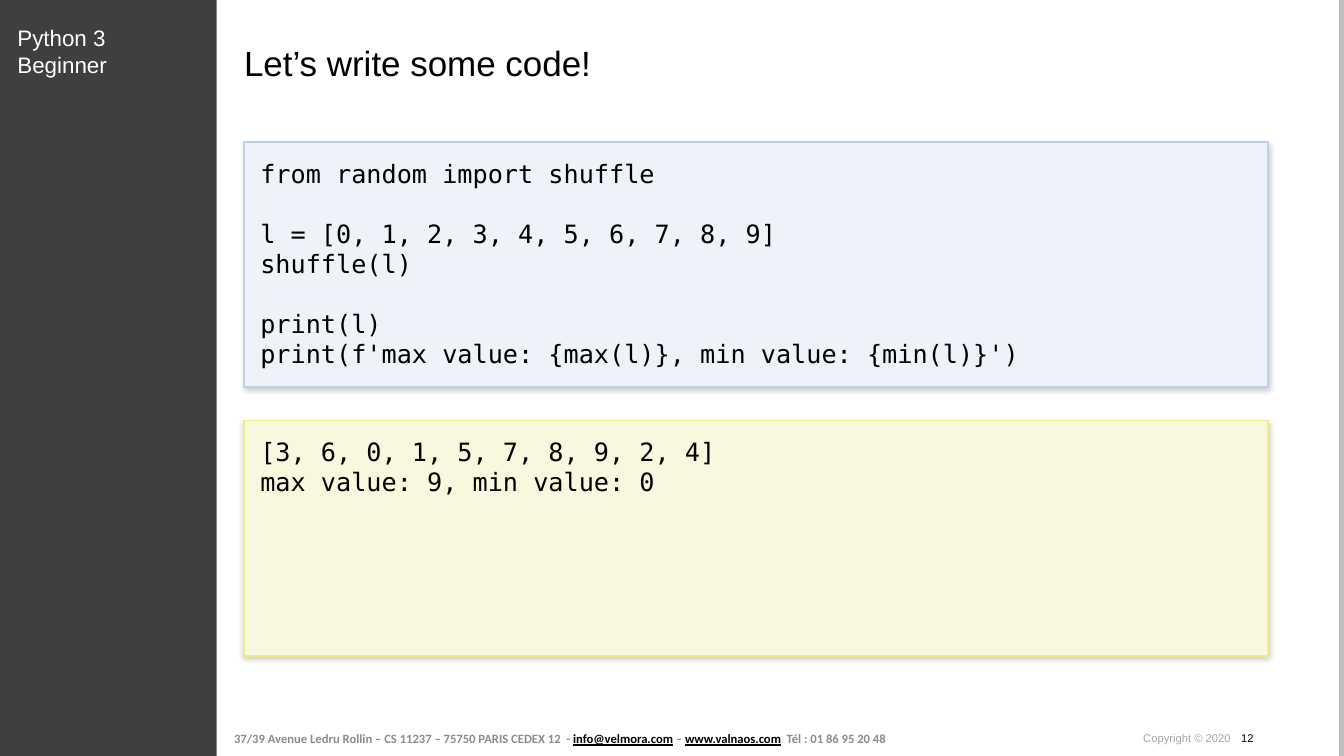
from dataclasses import dataclass

from lxml.etree import SubElement
from pptx import Presentation
from pptx.dml.color import RGBColor
from pptx.enum.shapes import MSO_CONNECTOR, MSO_SHAPE
from pptx.enum.text import MSO_ANCHOR, MSO_AUTO_SIZE, PP_ALIGN
from pptx.oxml.ns import qn
from pptx.util import Cm, Pt


@dataclass(frozen=True)
class Theme:
    ink: str = "000000"
    white: str = "FFFFFF"
    sidebar: str = "3F3F3F"
    edge: str = "BEBEBE"
    contact: str = "8C8C8C"
    copyright: str = "A4A4A4"
    code_fill: str = "EEF3F9"
    code_line: str = "BBD2EE"
    output_fill: str = "F9F8DF"
    output_line: str = "F1ED86"
    sans: str = "Arial"
    mono: str = "DejaVu Sans Mono"
    footer: str = "Calibri"
    title_size: float = 25
    code_size: float = 18
    course_size: float = 16
    contact_size: float = 9
    copyright_size: float = 8
    code_gap: float = 21


THEME = Theme()
CONTENT_LEFT = 6.15
PANEL_WIDTH = 25.81

CODE = [
    ["from random import shuffle"],
    ["l = [0, 1, 2, 3, 4, 5, 6, 7, 8, 9]", "shuffle(l)"],
    ["print(l)", "print(f'max value: {max(l)}, min value: {min(l)}')"],
]
OUTPUT = [["[3, 6, 0, 1, 5, 7, 8, 9, 2, 4]", "max value: 9, min value: 0"]]


def rgb(color):
    return RGBColor.from_string(color)


def style_run(r, font, size, color, bold=False, underline=False):
    r.font.name = font
    r.font.size = Pt(size)
    r.font.color.rgb = rgb(color)
    r.font.bold = bold
    r.font.underline = underline


def place(sp, left, top, width, height):
    sp.left, sp.top = Cm(left), Cm(top)
    sp.width, sp.height = Cm(width), Cm(height)


def set_frame(tf, inset_x=0, inset_y=0, anchor=MSO_ANCHOR.TOP):
    tf.word_wrap = True
    tf.auto_size = MSO_AUTO_SIZE.NONE
    tf.vertical_anchor = anchor
    tf.margin_left = tf.margin_right = Cm(inset_x)
    tf.margin_top = tf.margin_bottom = Cm(inset_y)


def add_text(s, box, runs, font, size, **frame):
    sp = s.shapes.add_textbox(*map(Cm, box))
    tf = sp.text_frame
    set_frame(tf, **frame)
    p = tf.paragraphs[0]
    for text, color, bold, underline in runs:
        r = p.add_run()
        r.text = text
        style_run(r, font, size, color, bold, underline)
    return p


def add_tab_stop(p, position):
    tabs = SubElement(p._p.get_or_add_pPr(), qn("a:tabLst"))
    SubElement(tabs, qn("a:tab"), pos=str(Cm(position)), algn="l")


def add_rect(s, box, fill, line=None):
    sp = s.shapes.add_shape(MSO_SHAPE.RECTANGLE, *map(Cm, box))
    sp.shadow.inherit = False
    sp.fill.solid()
    sp.fill.fore_color.rgb = rgb(fill)
    if line:
        sp.line.color.rgb = rgb(line)
        sp.line.width = Pt(1)
    else:
        sp.line.fill.background()
    return sp


def add_soft_shadow(sp):
    effects = sp._element.spPr.find(qn("a:effectLst"))
    shadow = SubElement(effects, qn("a:outerShdw"), blurRad=str(Pt(4)),
                        dist=str(Pt(1)), dir="5400000", rotWithShape="0")
    color = SubElement(shadow, qn("a:srgbClr"), val=THEME.ink)
    SubElement(color, qn("a:alpha"), val="20000")


def add_code_panel(s, top, height, blocks, fill, line):
    sp = add_rect(s, (CONTENT_LEFT, top, PANEL_WIDTH, height), fill, line)
    add_soft_shadow(sp)
    tf = sp.text_frame
    set_frame(tf, 0.41, 0.41)
    tf.text = "\n".join(text for block in blocks for text in block)
    paragraphs = iter(tf.paragraphs)
    for b, block in enumerate(blocks):
        for i in range(len(block)):
            p = next(paragraphs)
            p.alignment = PP_ALIGN.LEFT
            if b and not i:
                p.space_before = Pt(THEME.code_gap)
            style_run(p.runs[0], THEME.mono, THEME.code_size, THEME.ink)


def add_edge(s, x, height):
    line = s.shapes.add_connector(MSO_CONNECTOR.STRAIGHT, Cm(x), 0, Cm(x), height)
    line.line.color.rgb = rgb(THEME.edge)
    line.line.width = Pt(3.34)
    SubElement(line._element.spPr, qn("a:effectLst"))


def set_title(s, text):
    sp = s.shapes.title
    place(sp, CONTENT_LEFT, 1.04, 25.55, 1.07)
    tf = sp.text_frame
    tf.text = text
    set_frame(tf)
    p = tf.paragraphs[0]
    p.alignment = PP_ALIGN.LEFT
    style_run(p.runs[0], THEME.sans, THEME.title_size, THEME.ink)


def add_footer(s):
    contact = [
        ("37/39 Avenue Ledru Rollin – CS 11237 – 75750 PARIS CEDEX 12  - ",
         THEME.contact, True, False),
        ("info@velmora.com", THEME.ink, True, True),
        (" – ", THEME.contact, True, False),
        ("www.valnaos.com", THEME.ink, True, True),
        ("  Tél : 01 86 95 20 48", THEME.contact, True, False),
    ]
    add_text(s, (5.72, 18.21, 16.97, 0.81), contact, THEME.footer,
             THEME.contact_size, inset_x=0.18, inset_y=0.1,
             anchor=MSO_ANCHOR.MIDDLE)
    page = [
        ("Copyright © 2020", THEME.copyright, False, False),
        ("\t12", THEME.ink, False, False),
    ]
    p = add_text(s, (28.81, 18.42, 4.37, 0.33), page, THEME.sans,
                 THEME.copyright_size)
    add_tab_stop(p, 2.47)


def main():
    prs = Presentation()
    prs.slide_width, prs.slide_height = Cm(33.87), Cm(19.05)
    s = prs.slides.add_slide(prs.slide_layouts[5])
    add_edge(s, 33.81, prs.slide_height)
    add_rect(s, (0, 0, 5.46, 19.05), THEME.sidebar)
    set_title(s, "Let’s write some code!")
    add_code_panel(s, 3.58, 6.17, CODE, THEME.code_fill, THEME.code_line)
    add_code_panel(s, 10.59, 5.94, OUTPUT, THEME.output_fill, THEME.output_line)
    add_text(s, (0.44, 0.61, 4.57, 1.37),
             [("Python 3 Beginner", THEME.white, False, False)],
             THEME.sans, THEME.course_size)
    add_footer(s)
    prs.save("out.pptx")


if __name__ == "__main__":
    main()
